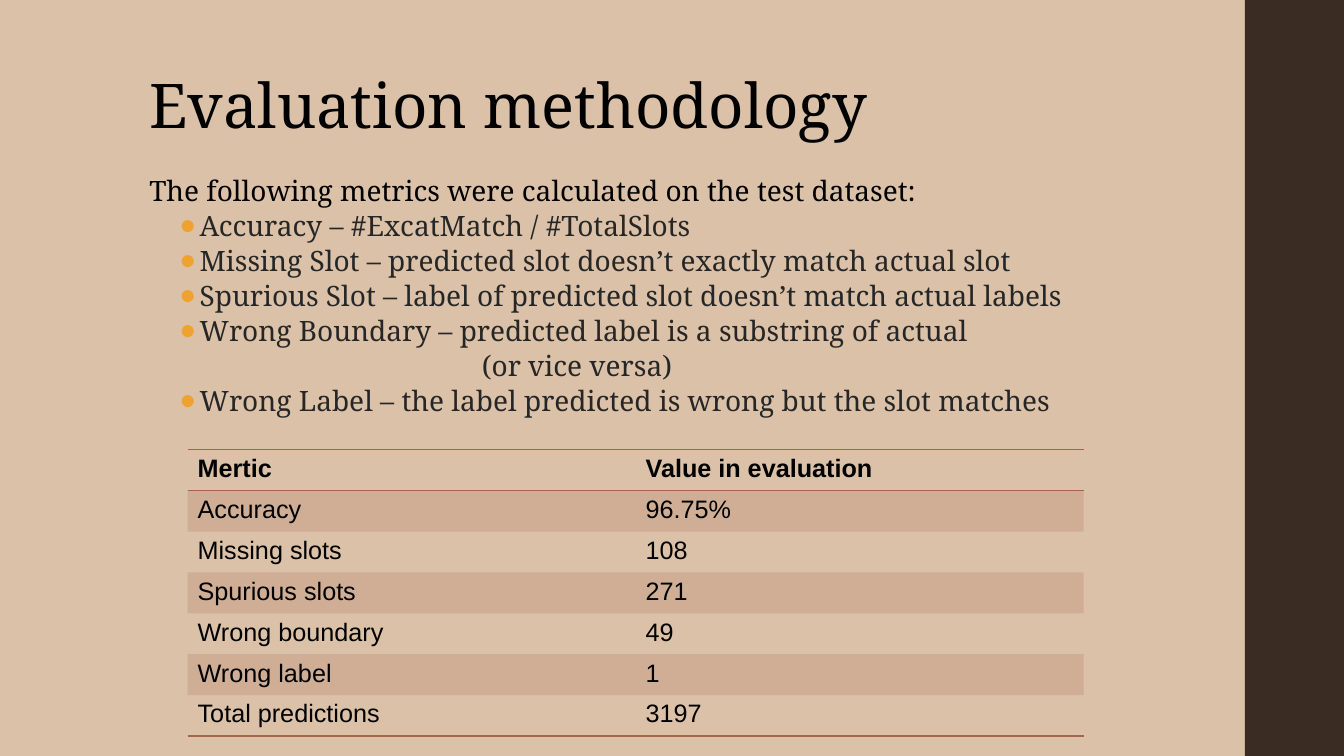
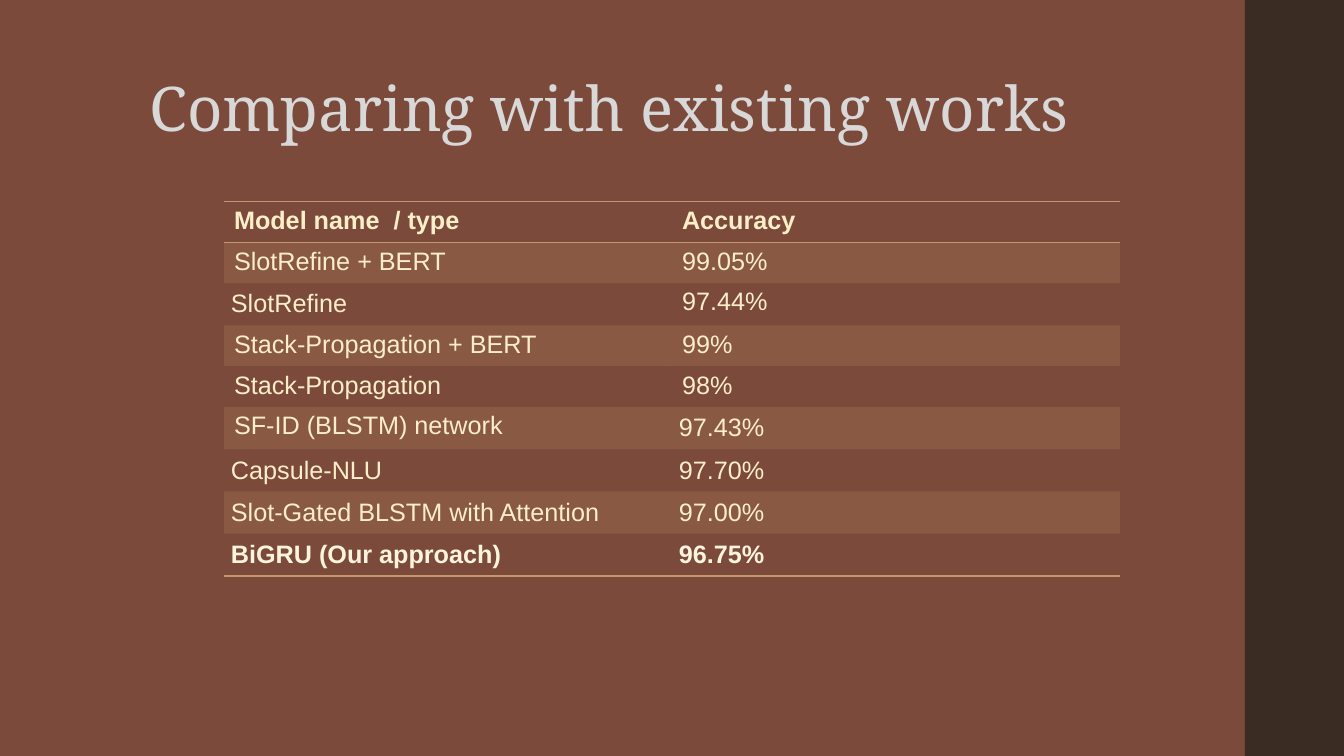
"""Build two slides on the evaluation of a slot-filling model."""
import dataclasses

import lxml.etree
import pptx
import pptx.dml.color
import pptx.enum.shapes
import pptx.enum.text
import pptx.oxml
import pptx.oxml.ns
import pptx.util

Pt = pptx.util.Pt
Anchor = pptx.enum.text.MSO_ANCHOR
qn = pptx.oxml.ns.qn


@dataclasses.dataclass(frozen=True)
class Theme:
    sand: str = "DAC1A7"
    brick: str = "7B4A3A"
    band: str = "3A2C23"
    black: str = "000000"
    body: str = "262626"
    bullet: str = "F0A22E"
    rust: str = "A5644E"
    tan: str = "C3986D"
    silver: str = "D8D8D8"
    cream: str = "FBEEC9"
    pale_cream: str = "FCF4DD"
    serif: str = "Noto Serif"
    sans: str = "Arial"
    title_size: int = 44
    body_size: int = 20
    table_size: int = 18


THEME = Theme()
NO_TABLE_STYLE = "{2D5ABB26-0587-4C30-8999-92F81FD0307C}"
TABLE_WIDTH = 640
ROW_HEIGHT = 29.2
TIGHT_MARGIN = 5

INTRODUCTION = "The following metrics were calculated on the test dataset:"
METRICS = [
    "Accuracy – #ExcatMatch / #TotalSlots",
    "Missing Slot – predicted slot doesn’t exactly match actual slot",
    "Spurious Slot – label of predicted slot doesn’t match actual labels",
    "Wrong Boundary – predicted label is a substring of actual",
    "(or vice versa)",
    "Wrong Label – the label predicted is wrong but the slot matches",
]
RESULTS = [
    ("Mertic", "Value in evaluation"),
    ("Accuracy", "96.75%"),
    ("Missing slots", "108"),
    ("Spurious slots", "271"),
    ("Wrong boundary", "49"),
    ("Wrong label", "1"),
    ("Total predictions", "3197"),
]
MODELS = [
    ("Model name  / type", "Accuracy"),
    ("SlotRefine + BERT", "99.05%"),
    ("SlotRefine", "97.44%"),
    ("Stack-Propagation + BERT", "99%"),
    ("Stack-Propagation", "98%"),
    ("SF-ID (BLSTM) network", "97.43%"),
    ("Capsule-NLU", "97.70%"),
    ("Slot-Gated BLSTM with Attention", "97.00%"),
    ("BiGRU (Our approach)", "96.75%"),
]
TIGHT_MODEL_CELLS = {(2, 0), (5, 1), (6, 0), (6, 1), (7, 0), (7, 1), (8, 0), (8, 1)}


def rgb(color):
    return pptx.dml.color.RGBColor.from_string(color)


def write_text(paragraph, text, *, font, size, color, bold=False, line_spacing=1.0, space_before=0):
    paragraph.alignment = pptx.enum.text.PP_ALIGN.LEFT
    paragraph.line_spacing = line_spacing
    paragraph.space_before = Pt(space_before)
    run = paragraph.add_run()
    run.text = text
    run.font.name = font
    run.font.size = Pt(size)
    run.font.bold = bold
    run.font.color.rgb = rgb(color)


def set_bullet(paragraph, *, left, hanging=0, color=None):
    properties = paragraph._p.get_or_add_pPr()
    properties.set("marL", str(Pt(left)))
    properties.set("indent", str(-Pt(hanging)))
    if color is None:
        lxml.etree.SubElement(properties, qn("a:buNone"))
        return
    bullet_color = lxml.etree.SubElement(properties, qn("a:buClr"))
    lxml.etree.SubElement(bullet_color, qn("a:srgbClr"), val=color)
    lxml.etree.SubElement(properties, qn("a:buChar"), char="●")


def place(shape, left, top, width, height):
    shape.left, shape.top = Pt(left), Pt(top)
    shape.width, shape.height = Pt(width), Pt(height)


def add_slide(presentation, layout_index, title, *, background, title_color, title_top):
    slide = presentation.slides.add_slide(presentation.slide_layouts[layout_index])
    slide.background.fill.solid()
    slide.background.fill.fore_color.rgb = rgb(background)
    place(slide.shapes.title, 99.4, title_top, 763, 104.4)
    frame = slide.shapes.title.text_frame
    frame.auto_size = pptx.enum.text.MSO_AUTO_SIZE.NONE
    frame.vertical_anchor = Anchor.BOTTOM
    write_text(frame.paragraphs[0], title, font=THEME.serif, size=THEME.title_size,
               color=title_color, line_spacing=0.9)
    return slide


def add_master_band(presentation, slide):
    band = slide.shapes.add_shape(pptx.enum.shapes.MSO_SHAPE.RECTANGLE,
                                  Pt(889.2), Pt(0), Pt(70.8), Pt(540))
    band.shadow.inherit = False
    band.fill.solid()
    band.fill.fore_color.rgb = rgb(THEME.band)
    band.line.fill.background()
    presentation.slide_master.shapes.element.insert(2, band.element)


def fill_body(slide):
    body = slide.placeholders[1]
    place(body, 99.4, 123.8, 709, 342.7)
    frame = body.text_frame
    frame.auto_size = pptx.enum.text.MSO_AUTO_SIZE.NONE
    frame.vertical_anchor = Anchor.TOP
    introduction = frame.paragraphs[0]
    write_text(introduction, INTRODUCTION, font=THEME.serif, size=THEME.body_size,
               color=THEME.black, line_spacing=0.85)
    set_bullet(introduction, left=0)
    for text in METRICS:
        paragraph = frame.add_paragraph()
        paragraph.level = 1
        write_text(paragraph, text, font=THEME.serif, size=THEME.body_size,
                   color=THEME.body, line_spacing=0.8, space_before=5.8)
        if text.startswith("("):
            set_bullet(paragraph, left=237.6)
        else:
            set_bullet(paragraph, left=36, hanging=14.4, color=THEME.bullet)


def fill_cell(cell, color):
    if color is None:
        cell.fill.background()
        return
    cell.fill.solid()
    cell.fill.fore_color.rgb = rgb(color)
    color_element = cell._tc.tcPr.find(f"{qn('a:solidFill')}/{qn('a:srgbClr')}")
    lxml.etree.SubElement(color_element, qn("a:alpha"), val="20000")


def add_border(cell, side, color):
    line = lxml.etree.Element(qn(f"a:ln{side}"), w=str(Pt(1)))
    fill = lxml.etree.SubElement(line, qn("a:solidFill"))
    lxml.etree.SubElement(fill, qn("a:srgbClr"), val=color)
    cell._tc.get_or_add_tcPr().insert(0, line)


def add_banded_table(slide, rows, left, top, *, accent, text_color, total_color=None, tight_cells=()):
    last = len(rows) - 1
    frame = slide.shapes.add_table(len(rows), len(rows[0]), Pt(left), Pt(top),
                                   Pt(TABLE_WIDTH), Pt(ROW_HEIGHT * len(rows)))
    table = frame.table
    table._tbl.tblPr.find(qn("a:tableStyleId")).text = NO_TABLE_STYLE
    for row_index, row in enumerate(rows):
        table.rows[row_index].height = Pt(ROW_HEIGHT)
        is_total = row_index == last and total_color is not None
        for column_index, text in enumerate(row):
            cell = table.cell(row_index, column_index)
            write_text(cell.text_frame.paragraphs[0], text, font=THEME.sans,
                       size=THEME.table_size, bold=row_index == 0 or is_total,
                       color=total_color if is_total else text_color)
            if (row_index, column_index) in tight_cells:
                cell.vertical_anchor = Anchor.MIDDLE
                cell.margin_left = cell.margin_right = Pt(TIGHT_MARGIN)
                cell.margin_top = cell.margin_bottom = Pt(TIGHT_MARGIN)
            fill_cell(cell, accent if row_index % 2 else None)
            if row_index in (0, last):
                add_border(cell, "B", accent)
            if row_index == 0:
                add_border(cell, "T", accent)


def main():
    presentation = pptx.Presentation()
    presentation.slide_width, presentation.slide_height = Pt(960), Pt(540)

    evaluation = add_slide(presentation, 1, "Evaluation methodology", background=THEME.sand,
                           title_color=THEME.black, title_top=0.7)
    add_master_band(presentation, evaluation)
    fill_body(evaluation)
    add_banded_table(evaluation, RESULTS, 134, 321.3, accent=THEME.rust, text_color=THEME.black)

    comparison = add_slide(presentation, 5, "Comparing with existing works", background=THEME.brick,
                           title_color=THEME.silver, title_top=2.9)
    add_banded_table(comparison, MODELS, 160, 143.8, accent=THEME.tan, text_color=THEME.cream,
                     total_color=THEME.pale_cream, tight_cells=TIGHT_MODEL_CELLS)

    presentation.save("out.pptx")


if __name__ == "__main__":
    main()
